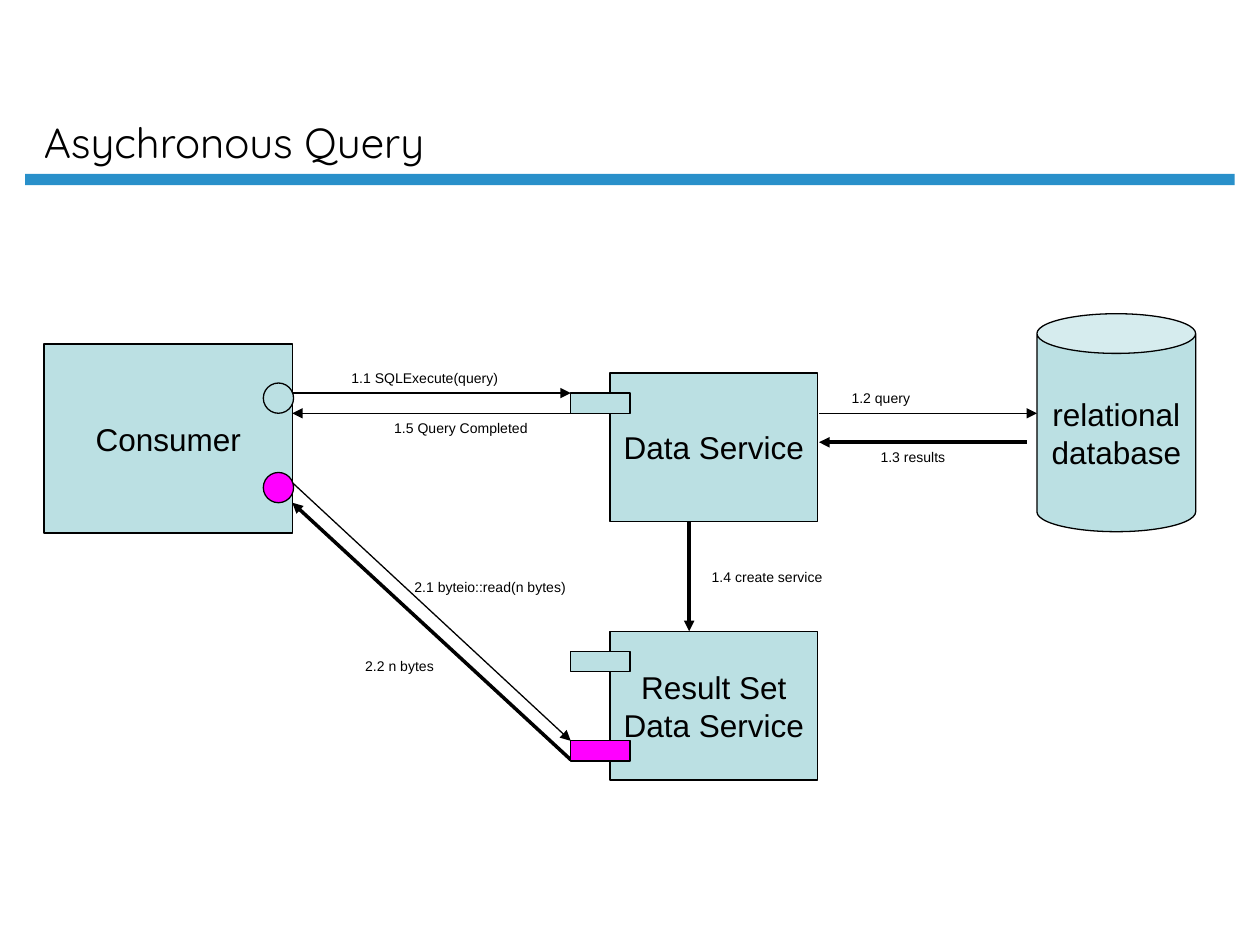
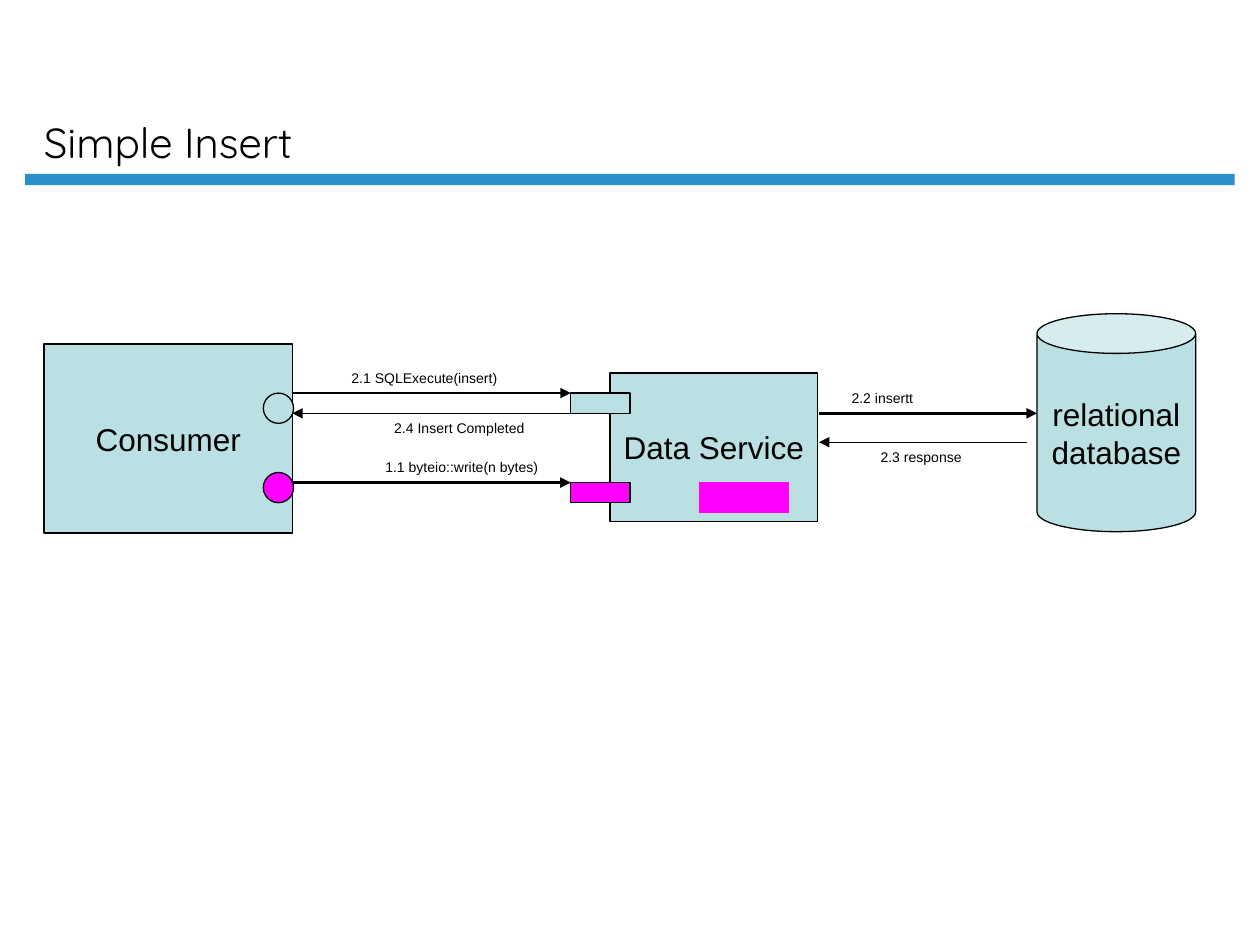
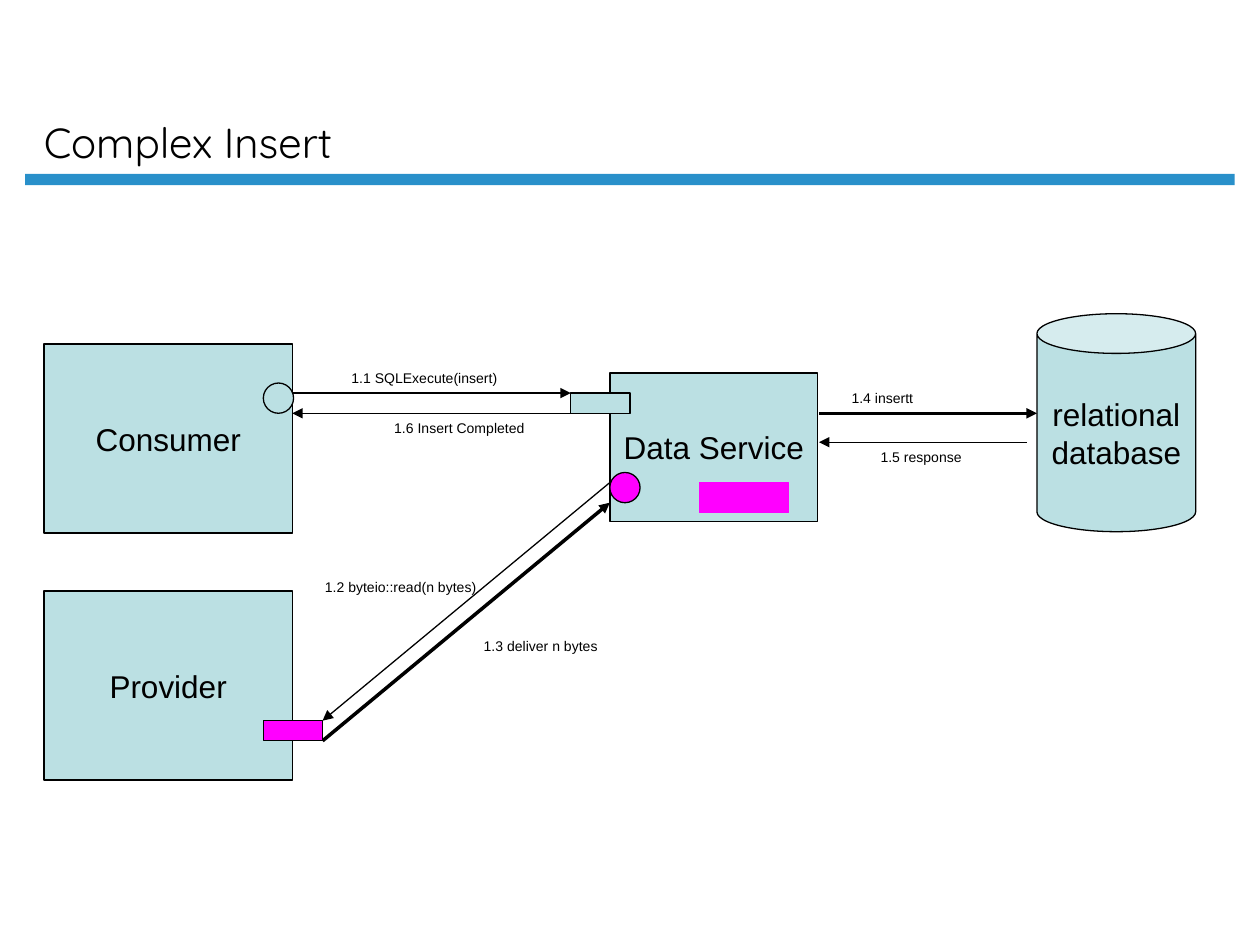
from lxml import etree
from pptx import Presentation
from pptx.dml.color import RGBColor
from pptx.enum.shapes import MSO_CONNECTOR, MSO_SHAPE
from pptx.enum.text import MSO_ANCHOR, PP_ALIGN
from pptx.oxml.ns import qn
from pptx.util import Inches, Pt

RECT, CAN, OVAL = MSO_SHAPE.RECTANGLE, MSO_SHAPE.CAN, MSO_SHAPE.OVAL
STRAIGHT = MSO_CONNECTOR.STRAIGHT
TOP, MIDDLE, BOTTOM = MSO_ANCHOR.TOP, MSO_ANCHOR.MIDDLE, MSO_ANCHOR.BOTTOM
LEFT, CENTER = PP_ALIGN.LEFT, PP_ALIGN.CENTER

BLACK, BLUE, TEAL, PINK = "000000", "2990CA", "BBE0E3", "FF00FF"
THIN, THICK = 0.75, 2

# Sizes of the repeated parts
CLIENT = (1.97, 1.5)
SERVICE = (1.65, 1.18)
PORT = (0.47, 0.16)
CIRCLE = (0.24, 0.24)
DATA = (0.71, 0.24)
LABEL_H = 0.24

# Parts on every slide: kind, (left, top), size, fill, text
COMMON_BOXES = [
    (RECT, (4.84, 2.96), SERVICE, TEAL, "Data Service"),
    (CAN, (8.23, 2.49), (1.26, 1.73), TEAL, "relational\ndatabase"),
    (RECT, (0.35, 2.73), CLIENT, TEAL, "Consumer"),
    (RECT, (4.53, 3.12), PORT, TEAL, ""),
]
STORED_DATA = (RECT, (5.55, 3.83), DATA, PINK, "")

# Calls on every slide: from, to
EXECUTE = ((2.24, 3.12), (4.53, 3.12))
COMPLETED = ((4.53, 3.28), (2.32, 3.28))
REQUEST = ((6.5, 3.28), (8.23, 3.28))
RESPONSE = ((8.15, 3.51), (6.5, 3.51))

# Labels: text, left, top, width
SLIDES = [
    {
        "title": "Asychronous Query",
        "request": THIN, "response": THICK,
        "arrows": [
            ((2.32, 3.83), (4.53, 5.88), THIN),
            ((4.53, 6.03), (2.32, 3.99), THICK),
            ((5.47, 4.14), (5.47, 5.01), THICK),
        ],
        "boxes": [
            (RECT, (4.84, 5.01), SERVICE, TEAL, "Result Set\nData Service"),
            (RECT, (4.53, 5.17), PORT, TEAL, ""),
            (RECT, (4.53, 5.88), PORT, PINK, ""),
            (OVAL, (2.09, 3.04), CIRCLE, TEAL, ""),
            (OVAL, (2.09, 3.75), CIRCLE, PINK, ""),
        ],
        "labels": [
            ("1.1 SQLExecute(query)", 2.69, 2.88, 1.38),
            ("1.2 query", 6.66, 3.04, 0.68),
            ("1.3 results", 6.89, 3.51, 0.73),
            ("1.5 Query Completed", 3.03, 3.28, 1.28),
            ("2.1 byteio::read(n bytes)", 3.19, 4.54, 1.42),
            ("2.2 n bytes", 2.8, 5.17, 0.76),
            ("1.4 create service", 5.55, 4.46, 1.1),
        ],
    },
    {
        "title": "Simple Insert",
        "request": THICK, "response": THIN,
        "arrows": [((2.32, 3.83), (4.53, 3.83), THICK)],
        "boxes": [
            (RECT, (4.53, 3.83), PORT, PINK, ""),
            STORED_DATA,
            (OVAL, (2.09, 3.12), CIRCLE, TEAL, ""),
            (OVAL, (2.09, 3.75), CIRCLE, PINK, ""),
        ],
        "labels": [
            ("2.1 SQLExecute(insert)", 2.69, 2.88, 1.38),
            ("2.2 insertt", 6.66, 3.04, 0.71),
            ("2.3 response", 6.89, 3.51, 0.86),
            ("2.4 Insert Completed", 3.03, 3.28, 1.25),
            ("1.1 byteio::write(n bytes)", 2.96, 3.59, 1.43),
        ],
    },
    {
        "title": "Complex Insert",
        "request": THICK, "response": THIN,
        "arrows": [
            ((2.56, 5.88), (4.84, 3.99), THICK),
            ((4.84, 3.83), (2.56, 5.72), THIN),
        ],
        "boxes": [
            STORED_DATA,
            (RECT, (0.35, 4.69), CLIENT, TEAL, "Provider"),
            (RECT, (2.09, 5.72), PORT, PINK, ""),
            (OVAL, (2.09, 3.04), CIRCLE, TEAL, ""),
            (OVAL, (4.84, 3.75), CIRCLE, PINK, ""),
        ],
        "labels": [
            ("1.1 SQLExecute(insert)", 2.69, 2.88, 1.38),
            ("1.4 insertt", 6.66, 3.04, 0.71),
            ("1.5 response", 6.89, 3.51, 0.86),
            ("1.6 Insert Completed", 3.03, 3.28, 1.25),
            ("1.2 byteio::read(n bytes)", 2.48, 4.54, 1.42),
            ("1.3 deliver n bytes", 3.74, 5.01, 1.12),
        ],
    },
]


def rgb(color):
    return RGBColor.from_string(color)


def write(sp, text, size, font="Arial", align=LEFT, anchor=TOP, wrap=False):
    tf = sp.text_frame
    tf.word_wrap = wrap
    tf.vertical_anchor = anchor
    tf.text = text
    for p in tf.paragraphs:
        p.alignment = align
        for r in p.runs:
            r.font.size = Pt(size)
            r.font.name = font
            r.font.color.rgb = rgb(BLACK)


def add_box(s, kind, pos, size, fill, text="", line=BLACK):
    sp = s.shapes.add_shape(kind, *map(Inches, pos + size))
    sp.shadow.inherit = False
    sp.fill.solid()
    sp.fill.fore_color.rgb = rgb(fill)
    if line:
        sp.line.color.rgb = rgb(line)
        sp.line.width = Pt(THIN)
    else:
        sp.line.fill.background()
    if text:
        write(sp, text, 18, align=CENTER, anchor=MIDDLE)


def add_arrow(s, start, end, width):
    c = s.shapes.add_connector(STRAIGHT, *map(Inches, start + end))
    c.line.color.rgb = rgb(BLACK)
    c.line.width = Pt(width)
    ln = c._element.spPr.find(qn("a:ln"))
    etree.SubElement(ln, qn("a:tailEnd"), type="triangle")
    etree.SubElement(c._element.spPr, qn("a:effectLst"))


def add_label(s, text, left, top, width):
    sp = s.shapes.add_textbox(*map(Inches, (left, top, width, LABEL_H)))
    write(sp, text, 8)


def add_header(s, title):
    add_box(s, RECT, (0.2, 1.38), (9.6, 0.09), BLUE, line=None)
    sp = s.shapes.add_textbox(*map(Inches, (0.25, 0.12, 8.56, 1.25)))
    write(sp, title, 24, "Quicksand", anchor=BOTTOM, wrap=True)


def build_slide(prs, content):
    s = prs.slides.add_slide(prs.slide_layouts[6])
    add_header(s, content["title"])
    # Arrows lie behind the boxes
    calls = [
        (*EXECUTE, THIN),
        (*REQUEST, content["request"]),
        (*RESPONSE, content["response"]),
        (*COMPLETED, THIN),
    ]
    for arrow in calls + content["arrows"]:
        add_arrow(s, *arrow)
    # Boxes, ports and circles
    for box in COMMON_BOXES + content["boxes"]:
        add_box(s, *box, line=PINK if box is STORED_DATA else BLACK)
    # Call labels
    for label in content["labels"]:
        add_label(s, *label)


def main():
    prs = Presentation()
    prs.slide_width, prs.slide_height = Inches(10), Inches(7.5)
    for content in SLIDES:
        build_slide(prs, content)
    prs.save("out.pptx")


if __name__ == "__main__":
    main()
